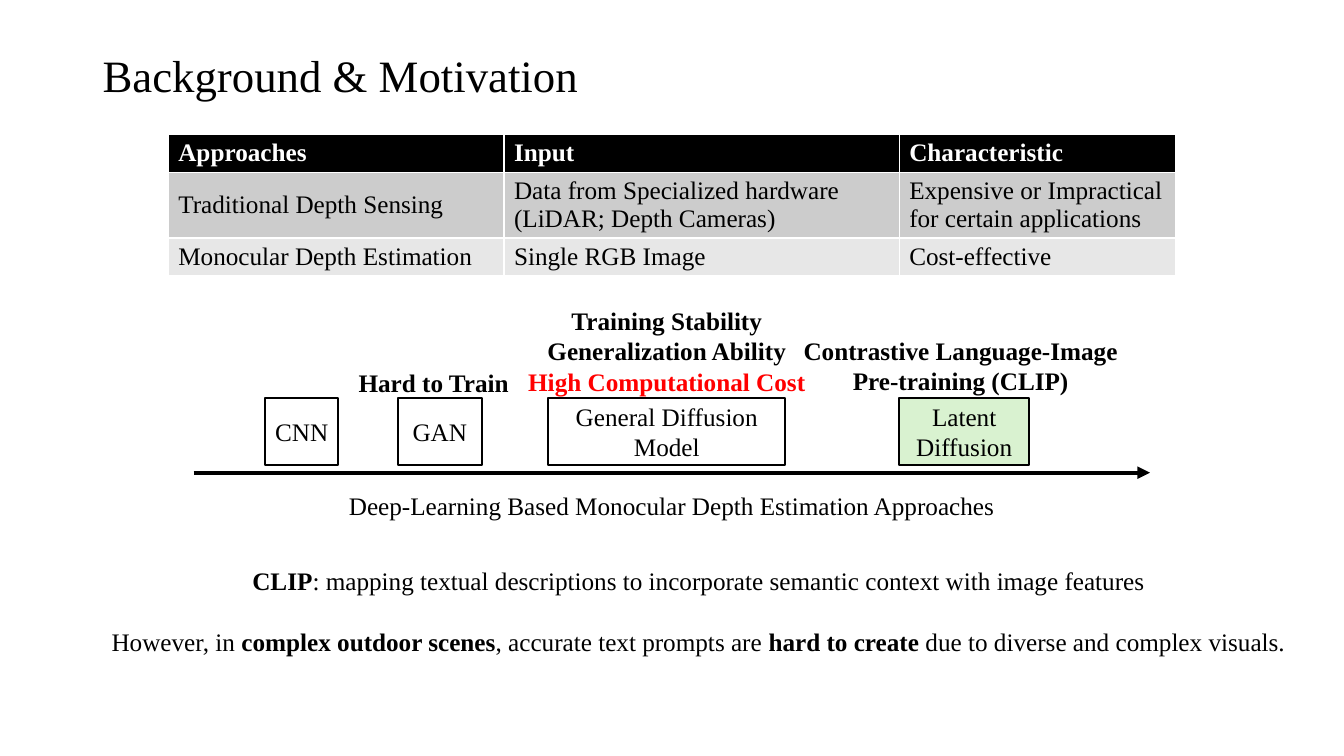
import pptx
import pptx.util
import pptx.dml.color
import pptx.enum.text
import pptx.enum.shapes
import pptx.oxml
import pptx.oxml.ns

Cm, Pt = pptx.util.Cm, pptx.util.Pt
RGB = pptx.dml.color.RGBColor.from_string
ALIGN = pptx.enum.text.PP_ALIGN
ANCHOR = pptx.enum.text.MSO_ANCHOR
COLORS = {"black": "000000", "white": "FFFFFF", "red": "FF0000",
          "green": "D9F2D0", "odd": "CCCCCC", "even": "E7E7E7"}


def write(tf, text, size=18, color="black", bold=False, align=ALIGN.CENTER, spacing=1.0):
    tf.word_wrap = True
    for i, line in enumerate(text.split("\n")):
        p = tf.add_paragraph() if i else tf.paragraphs[0]
        p.alignment = align
        p.line_spacing = spacing
        for j, part in enumerate(line.split("**")):
            if part:
                r = p.add_run()
                r.text = part
                r.font.name = "Times New Roman"
                r.font.size = Pt(size)
                r.font.bold = bold or j % 2 == 1
                r.font.color.rgb = RGB(COLORS[color])


prs = pptx.Presentation()
prs.slide_width, prs.slide_height = Cm(33.87), Cm(19.05)
s = prs.slides.add_slide(prs.slide_layouts[5])

title = s.shapes.title
title.left, title.top, title.width, title.height = Cm(2.33), Cm(1.02), Cm(29.21), Cm(1.88)
title.text_frame.vertical_anchor = ANCHOR.MIDDLE
write(title.text_frame, "Background & Motivation", size=32, align=ALIGN.LEFT, spacing=0.9)

rows = [
    ["Approaches", "Input", "Characteristic"],
    ["Traditional Depth Sensing",
     "Data from Specialized hardware\n(LiDAR; Depth Cameras)",
     "Expensive or Impractical for certain applications"],
    ["Monocular Depth Estimation", "Single RGB Image", "Cost-effective"],
]
widths, heights = [8.46, 9.96, 6.96], [0.94, 1.65, 0.94]
table = s.shapes.add_table(3, 3, Cm(4.24), Cm(3.38), Cm(sum(widths)), Cm(sum(heights))).table
for col, w in zip(table.columns, widths):
    col.width = Cm(w)
for i, (row, h, fill) in enumerate(zip(rows, heights, ["black", "odd", "even"])):
    table.rows[i].height = Cm(h)
    for j, text in enumerate(row):
        cell = table.cell(i, j)
        cell.fill.solid()
        cell.fill.fore_color.rgb = RGB(COLORS[fill])
        cell.vertical_anchor = ANCHOR.MIDDLE
        write(cell.text_frame, text, color="black" if i else "white", bold=i == 0,
              align=ALIGN.LEFT)

arrow = s.shapes.add_connector(pptx.enum.shapes.MSO_CONNECTOR.STRAIGHT,
                               Cm(4.88), Cm(11.91), Cm(28.98), Cm(11.91))
arrow.line.color.rgb = RGB(COLORS["black"])
arrow.line.width = Pt(3)
tail = pptx.oxml.ns.qn("a:tailEnd")
arrow.line._get_or_add_ln().append(arrow._element.makeelement(tail, {"type": "triangle"}))
arrow._element.spPr.append(arrow._element.makeelement(pptx.oxml.ns.qn("a:effectLst"), {}))

models = [
    ("CNN", 6.68, 1.85, None),
    ("GAN", 10.03, 2.11, None),
    ("General Diffusion\nModel", 13.82, 5.97, "white"),
    ("Latent Diffusion", 22.66, 3.28, "green"),
]
for text, x, w, fill in models:
    sp = s.shapes.add_shape(pptx.enum.shapes.MSO_SHAPE.RECTANGLE, Cm(x), Cm(10.03), Cm(w), Cm(1.7))
    sp.shadow.inherit = False
    sp.line.color.rgb = RGB(COLORS["black"])
    sp.line.width = Pt(1.5)
    if fill:
        sp.fill.solid()
        sp.fill.fore_color.rgb = RGB(COLORS[fill])
    else:
        sp.fill.background()
    tf = sp.text_frame
    tf.margin_left = tf.margin_right = Cm(0.1)
    tf.vertical_anchor = ANCHOR.MIDDLE
    write(tf, text)

notes = [
    ("Deep-Learning Based Monocular Depth Estimation Approaches", 8.46, 12.24, 16.94, 1.02, False),
    ("Hard to Train", 7.77, 9.12, 6.32, 1.02, True),
    ("Contrastive Language-Image \nPre-training (CLIP) ", 19.96, 8.33, 8.66, 1.8, True),
    ("**CLIP**: mapping textual descriptions to incorporate semantic context with image features",
     4.01, 14.12, 27.2, 1.8, False),
    ("However, in **complex outdoor scenes**, accurate text prompts are **hard to create **"
     "due to diverse and complex visuals.", 1.8, 15.67, 31.6, 1.02, False),
    ("Training Stability\nGeneralization Ability\nHigh Computational Cost",
     12.88, 7.57, 7.85, 2.57, True),
]
for text, x, y, w, h, bold in notes:
    tf = s.shapes.add_textbox(Cm(x), Cm(y), Cm(w), Cm(h)).text_frame
    write(tf, text, bold=bold)
tf.paragraphs[-1].runs[0].font.color.rgb = RGB(COLORS["red"])

prs.save("out.pptx")
